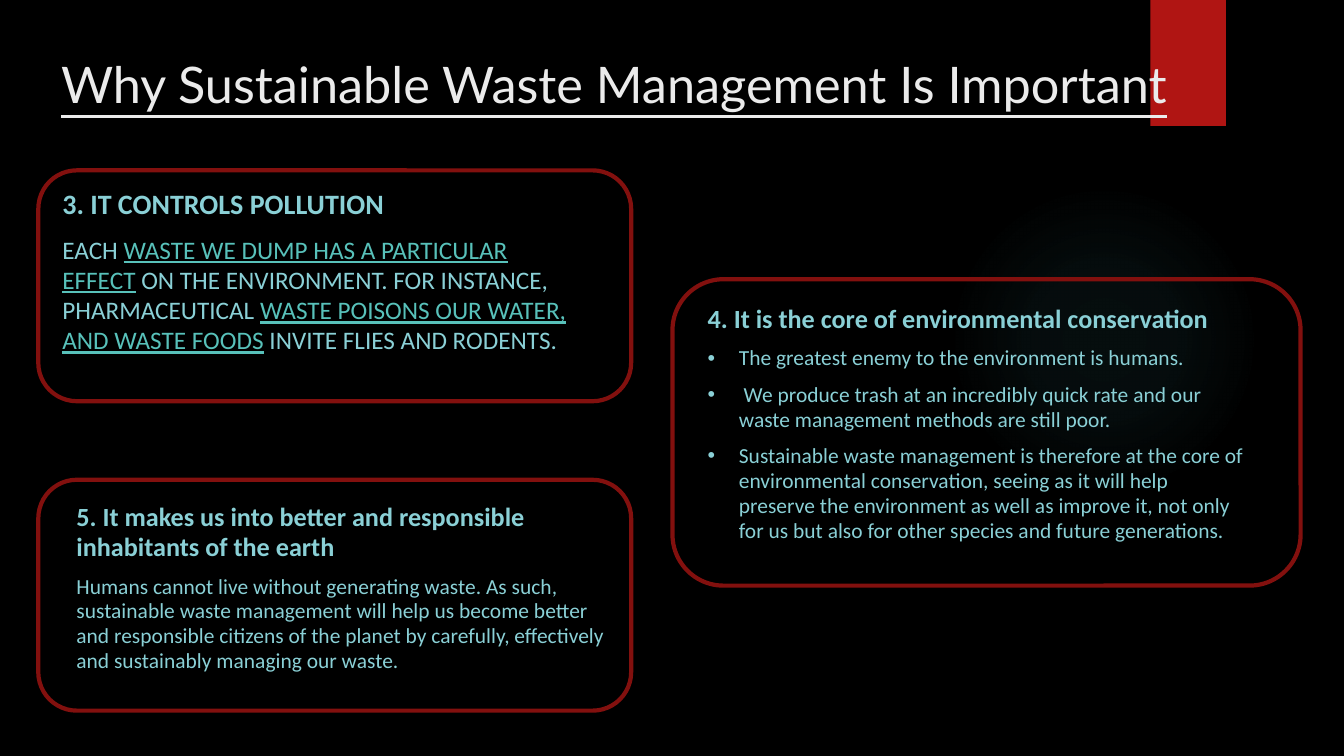
from dataclasses import dataclass

from lxml import etree
from pptx import Presentation
from pptx.dml.color import RGBColor
from pptx.enum.shapes import MSO_SHAPE
from pptx.enum.text import MSO_ANCHOR, PP_ALIGN
from pptx.oxml import parse_xml
from pptx.oxml.ns import nsdecls, qn
from pptx.util import Inches, Pt

ELLIPSE = MSO_SHAPE.OVAL
RECTANGLE = MSO_SHAPE.RECTANGLE
ROUNDED = MSO_SHAPE.ROUNDED_RECTANGLE
TOP = MSO_ANCHOR.TOP
CENTER = PP_ALIGN.CENTER


@dataclass(frozen=True)
class Theme:
    background: str = "000000"
    glow: str = "50B9C1"
    tab: str = "B01513"
    outline: str = "82100E"
    title: str = "EBEBEB"
    text: str = "8AD0D6"
    emphasis: str = "58C1BA"
    title_font: str = "Lato"
    body_font: str = "Calibri"
    title_size: float = 36
    outline_width: float = 3


@dataclass(frozen=True)
class CardStyle:
    heading_size: float
    body_size: float
    line_spacing: float
    gap: float


THEME = Theme()
CAPITALS = CardStyle(heading_size=20, body_size=18, line_spacing=1, gap=10)
STANDARD = CardStyle(heading_size=18.7, body_size=15.3, line_spacing=0.97, gap=8)
BULLET_INDENT = 0.31

TITLE = "Why Sustainable Waste Management Is Important"

# A paragraph is a list of (text, emphasised) runs.
POLLUTION = [[
    ("EACH ", False),
    ("WASTE WE DUMP HAS A PARTICULAR EFFECT", True),
    (" ON THE ENVIRONMENT. FOR INSTANCE, PHARMACEUTICAL ", False),
    ("WASTE POISONS OUR WATER, AND WASTE FOODS", True),
    (" INVITE FLIES AND RODENTS.", False),
]]
CONSERVATION = [
    [("The greatest enemy to the environment is humans.", False)],
    [(" We produce trash at an incredibly quick rate and our waste "
      "management methods are still poor.", False)],
    [("Sustainable waste management is therefore at the core of environmental "
      "conservation, seeing as it will help preserve the environment as well as "
      "improve it, not only for us but also for other species and future "
      "generations.", False)],
]
RESPONSIBILITY = [[
    ("Humans cannot live without generating waste. As such, sustainable waste "
     "management will help us become better and responsible citizens of the "
     "planet by carefully, effectively and sustainably managing our waste.", False),
]]


def color(value):
    return RGBColor.from_string(value)


def add_plain_shape(slide, kind, box):
    """Add a preset shape without shadow, fill or line."""
    shape = slide.shapes.add_shape(kind, *map(Inches, box))
    shape.shadow.inherit = False
    shape.fill.background()
    shape.line.fill.background()
    return shape


def add_text_frame(slide, box):
    frame = slide.shapes.add_textbox(*map(Inches, box)).text_frame
    frame.word_wrap = True
    frame.vertical_anchor = TOP
    return frame


def set_font(font, name, size, value, bold=False):
    font.name = name
    font.size = Pt(size)
    font.color.rgb = color(value)
    font.bold = bold


def add_glow(slide, box):
    """Add a circle that fades out from its centre."""
    properties = add_plain_shape(slide, ELLIPSE, box)._element.spPr
    stops = "".join(
        f'<a:gs pos="{position * 1000}"><a:srgbClr val="{THEME.glow}">'
        f'<a:alpha val="{alpha * 1000}"/></a:srgbClr></a:gs>'
        for position, alpha in ((0, 7), (36, 6), (69, 0), (100, 0))
    )
    gradient = parse_xml(
        f'<a:gradFill {nsdecls("a")}><a:gsLst>{stops}</a:gsLst>'
        '<a:path path="circle"><a:fillToRect l="50000" t="50000" '
        'r="50000" b="50000"/></a:path></a:gradFill>'
    )
    properties.replace(properties.find(qn("a:noFill")), gradient)


def add_backdrop(slide):
    slide.background.fill.solid()
    slide.background.fill.fore_color.rgb = color(THEME.background)
    add_glow(slide, (9.41, 1.83, 3.08, 3.08))
    tab = add_plain_shape(slide, RECTANGLE, (11.41, 0, 0.75, 1.25))
    tab.fill.solid()
    tab.fill.fore_color.rgb = color(THEME.tab)


def add_title(slide, box):
    paragraph = add_text_frame(slide, box).paragraphs[0]
    paragraph.text = TITLE
    paragraph.alignment = CENTER
    set_font(paragraph.font, THEME.title_font, THEME.title_size, THEME.title)
    paragraph.font.underline = True


def add_bullet(paragraph):
    properties = paragraph._p.get_or_add_pPr()
    indent = Inches(BULLET_INDENT)
    properties.set("marL", str(indent))
    properties.set("indent", str(-indent))
    etree.SubElement(properties, qn("a:buFont")).set("typeface", "Arial")
    etree.SubElement(properties, qn("a:buChar")).set("char", "•")


def add_card(slide, box, inset, text_width, heading, body, style, bulleted=False):
    """Add an outlined card; inset is the text's offset from the card's corner."""
    left, top, width, height = box
    across, down = inset
    outline = add_plain_shape(slide, ROUNDED, box)
    outline.line.color.rgb = color(THEME.outline)
    outline.line.width = Pt(THEME.outline_width)

    frame = add_text_frame(
        slide, (left + across, top + down, text_width, height - 2 * down))
    for index, runs in enumerate([[(heading, False)], *body]):
        is_heading = index == 0
        paragraph = frame.paragraphs[0] if is_heading else frame.add_paragraph()
        paragraph.line_spacing = style.line_spacing
        paragraph.space_after = Pt(style.gap)
        if bulleted and not is_heading:
            add_bullet(paragraph)
        size = style.heading_size if is_heading else style.body_size
        set_font(paragraph.font, THEME.body_font, size, THEME.text, is_heading)
        for text, emphasised in runs:
            run = paragraph.add_run()
            run.text = text
            if emphasised:
                run.font.color.rgb = color(THEME.emphasis)
                run.font.underline = True


def build_slide(presentation):
    slide = presentation.slides.add_slide(presentation.slide_layouts[6])
    add_backdrop(slide)
    add_title(slide, (0.38, 0.48, 11.42, 0.7))
    add_card(slide, (0.38, 1.69, 5.88, 2.29), (0.14, 0.11), 5.3,
             "3. IT CONTROLS POLLUTION", POLLUTION, CAPITALS)
    add_card(slide, (6.67, 2.77, 6.23, 3.04), (0.25, 0.2), 5.55,
             "4. It is the core of environmental conservation",
             CONSERVATION, STANDARD, bulleted=True)
    add_card(slide, (0.38, 4.76, 5.88, 2.29), (0.28, 0.17), 5.6,
             "5. It makes us into better and responsible inhabitants of the earth",
             RESPONSIBILITY, STANDARD)


def main():
    presentation = Presentation()
    presentation.slide_width = Inches(13.33)
    presentation.slide_height = Inches(7.5)
    build_slide(presentation)
    presentation.save("out.pptx")


if __name__ == "__main__":
    main()
